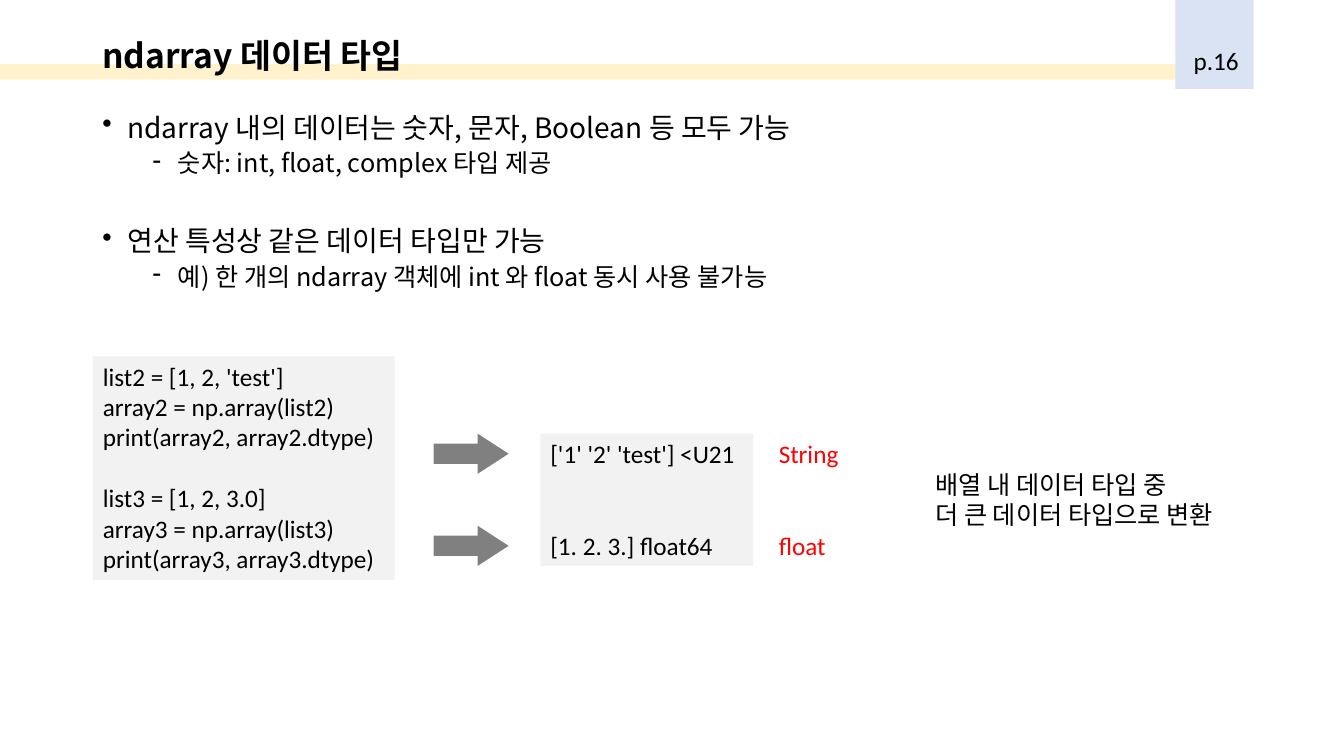
"""Build the slide on ndarray data types."""
from lxml import etree
from pptx import Presentation
from pptx import util as u
from pptx.dml.color import RGBColor
from pptx.enum import shapes, text
from pptx.oxml.ns import qn

COLORS = {"black": "000000", "red": "FF0000", "band": "FFF2CC",
          "tab": "DAE3F3", "panel": "F2F2F2", "arrow": "808080"}
HEADING_FONT = "Noto Sans CJK KR"
BLANK_LINE = 22

deck = Presentation()
deck.slide_width, deck.slide_height = u.Pt(960), u.Pt(540)
page = deck.slides.add_slide(deck.slide_layouts[6])


def add_block(kind, left, top, width, height, color):
    block = page.shapes.add_shape(kind, u.Pt(left), u.Pt(top), u.Pt(width), u.Pt(height))
    block.shadow.inherit = False
    block.fill.solid()
    block.fill.fore_color.rgb = RGBColor.from_string(COLORS[color])
    block.line.fill.background()
    return block


def add_text(lines, left, top, width, height, size=18, font="Calibri", color="black",
             bold=False, wrap=False, fill=None, spacing=None, middle=False):
    box = page.shapes.add_textbox(u.Pt(left), u.Pt(top), u.Pt(width), u.Pt(height))
    if fill:
        box.fill.solid()
        box.fill.fore_color.rgb = RGBColor.from_string(COLORS[fill])
    frame = box.text_frame
    frame.word_wrap = wrap
    frame.vertical_anchor = text.MSO_ANCHOR.MIDDLE if middle else text.MSO_ANCHOR.TOP
    for index, (line, gap, bullet) in enumerate(lines):
        para = frame.paragraphs[0] if index == 0 else frame.add_paragraph()
        if gap:
            para.space_before = u.Pt(gap)
        if spacing:
            para.line_spacing = spacing
        if bullet:
            para.level = 1 if bullet == "-" else 0
            props = para._p.get_or_add_pPr()
            props.set("marL", str(u.Pt(54 if para.level else 18)))
            props.set("indent", str(u.Pt(-18)))
            etree.SubElement(props, qn("a:buChar")).set("char", bullet)
        span = para.add_run()
        span.text = line
        span.font.size = u.Pt(20 if bullet == "•" else size)
        span.font.name = font
        span.font.bold = bold
        span.font.color.rgb = RGBColor.from_string(COLORS[color])


add_block(shapes.MSO_SHAPE.RECTANGLE, 0, 45.7, 894, 11.2, "band")
add_block(shapes.MSO_SHAPE.RECTANGLE, 839.5, -0.5, 56, 64, "tab")
add_text([("ndarray 데이터 타입", 0, None)], 66, 28.5, 772, 25.5,
         size=24, font=HEADING_FONT, bold=True, wrap=True, spacing=0.9, middle=True)

add_text([("ndarray 내의 데이터는 숫자, 문자, Boolean 등 모두 가능", 0, "•"),
          ("숫자: int, float, complex 타입 제공", 5, "-"),
          ("연산 특성상 같은 데이터 타입만 가능", 10 + 5 + 0.9 * BLANK_LINE, "•"),
          ("예) 한 개의 ndarray 객체에 int 와 float 동시 사용 불가능", 5, "-")],
         66, 77.8, 828, 160, font=HEADING_FONT, wrap=True, spacing=0.9)

code = []
for number, last in ((2, "'test'"), (3, "3.0")):
    code += [(f"list{number} = [1, 2, {last}]", BLANK_LINE if code else 0, None),
             (f"array{number} = np.array(list{number})", 0, None),
             (f"print(array{number}, array{number}.dtype)", 0, None)]
add_text(code, 66.4, 254.5, 215.5, 160, wrap=True, fill="panel")

add_text([("['1' '2' 'test'] <U21", 0, None), ("[1. 2. 3.] float64", 2 * BLANK_LINE, None)],
         386, 309.7, 152, 94.5, fill="panel")
for row in range(2):
    arrow = add_block(shapes.MSO_SHAPE.RIGHT_ARROW, 309.8, 309.7 + 65.8 * row, 53.5, 28.8, "arrow")
    arrow.adjustments[1] = 0.77
add_text([("String", 0, None), ("float", 2 * BLANK_LINE, None)],
         549.2, 309.7, 57.5, 94.5, color="red")

add_text([("배열 내 데이터 타입 중", 0, None), ("더 큰 데이터 타입으로 변환", 0, None)],
         661, 331.8, 231, 51)
add_text([("p.16", 0, None)], 845.5, 29, 46.5, 29)

deck.save("out.pptx")
